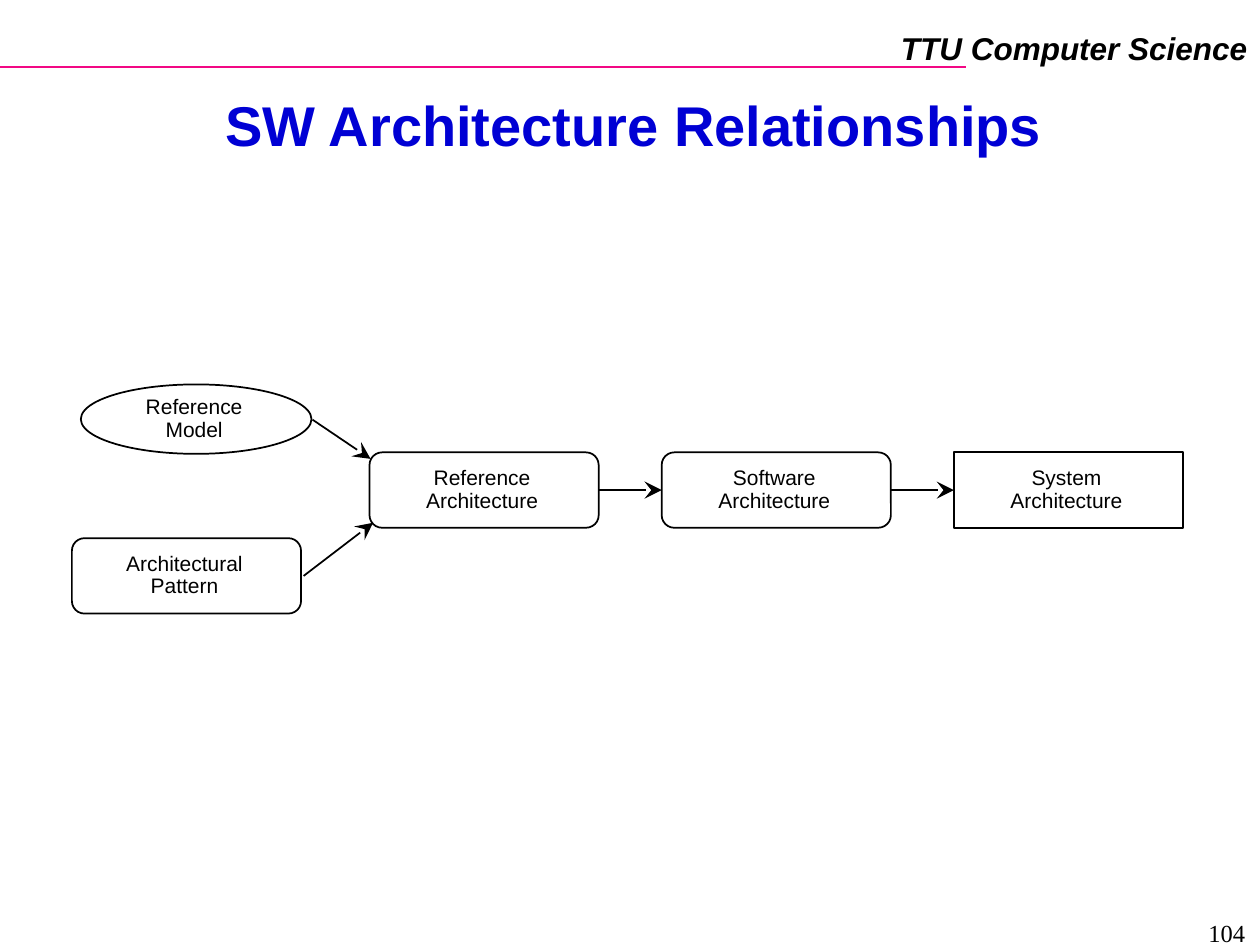
from lxml import etree
from pptx import Presentation
from pptx import util as u
from pptx.dml.color import RGBColor
from pptx.enum import shapes, text
from pptx.oxml.ns import qn

BLACK = RGBColor(0x00, 0x00, 0x00)
BLUE = RGBColor(0x00, 0x00, 0xD4)
PINK = RGBColor(0xF2, 0x08, 0x84)
NODE_WIDTH, NODE_HEIGHT = 4.62, 1.52
LABEL_WIDTH, LABEL_HEIGHT = 3.1, 1.17


def place(box):
    return [u.Cm(length) for length in box]


def format_paragraph(paragraph, size, color=BLACK, font="Arial", bold=False,
                     italic=False, align=text.PP_ALIGN.CENTER, spacing=1.0):
    paragraph.alignment = align
    paragraph.line_spacing = spacing
    paragraph.font.name = font
    paragraph.font.size = u.Pt(size)
    paragraph.font.bold = bold
    paragraph.font.italic = italic
    paragraph.font.color.rgb = color


def add_text(slide, box, words, size, wrap=False, **style):
    frame = slide.shapes.add_textbox(*place(box)).text_frame
    frame.word_wrap = wrap
    frame.text = words
    for paragraph in frame.paragraphs:
        format_paragraph(paragraph, size, **style)


def add_line(slide, start, end, color=BLACK, arrow=False):
    line = slide.shapes.add_connector(
        shapes.MSO_CONNECTOR.STRAIGHT, *place(start + end))
    line.line.color.rgb = color
    line.line.width = u.Pt(1)
    if arrow:
        outline = line.line._get_or_add_ln()
        etree.SubElement(outline, qn("a:tailEnd"), type="stealth",
                         w="lg", len="lg")
    etree.SubElement(line._element.spPr, qn("a:effectLst"))


def add_node(slide, kind, box, words):
    left, top, width, height = box
    shape = slide.shapes.add_shape(kind, *place(box))
    shape.shadow.inherit = False
    shape.fill.background()
    shape.line.color.rgb = BLACK
    shape.line.width = u.Pt(1)
    label = (left + (width - LABEL_WIDTH) / 2 - 0.04,
             top + (height - LABEL_HEIGHT) / 2, LABEL_WIDTH, LABEL_HEIGHT)
    add_text(slide, label, words, 12, spacing=0.9)


def add_header(slide, box):
    left, top, width, height = box
    rule = top + 0.89
    add_line(slide, (left, rule), (left + 19.48, rule), PINK)
    add_text(slide, (left + width - 7.5, top, 7.5, height),
             "TTU Computer Science", 18, bold=True, italic=True,
             align=text.PP_ALIGN.RIGHT)


def add_title(slide, box):
    title = slide.shapes.title
    title.left, title.top, title.width, title.height = place(box)
    frame = title.text_frame
    frame.text = "SW Architecture Relationships"
    frame.auto_size = text.MSO_AUTO_SIZE.NONE
    frame.vertical_anchor = text.MSO_ANCHOR.MIDDLE
    format_paragraph(frame.paragraphs[0], 32, BLUE, bold=True, spacing=0.87)


def add_diagram(slide, left, top):
    rounded = shapes.MSO_SHAPE.ROUNDED_RECTANGLE
    add_node(slide, shapes.MSO_SHAPE.OVAL, (left + 0.18, top, 4.65, 1.4),
             "Reference\nModel")
    add_node(slide, rounded, (left, top + 3.1, NODE_WIDTH, NODE_HEIGHT),
             "Architectural\nPattern")
    add_line(slide, (left + 4.85, top + 0.71), (left + 6.02, top + 1.5),
             arrow=True)
    add_line(slide, (left + 4.67, top + 3.86), (left + 6.07, top + 2.79),
             arrow=True)

    row_left, row_top, pitch = left + 6, top + 1.37, 5.89
    chain = [(rounded, "Reference"), (rounded, "Software"),
             (shapes.MSO_SHAPE.RECTANGLE, "System")]
    for index, (kind, name) in enumerate(chain):
        node_left = row_left + index * pitch
        add_node(slide, kind, (node_left, row_top, NODE_WIDTH, NODE_HEIGHT),
                 f"{name}\nArchitecture")
        if index:
            middle = row_top + NODE_HEIGHT / 2
            add_line(slide, (node_left - pitch + NODE_WIDTH, middle),
                     (node_left, middle), arrow=True)


def add_page_number(slide, box):
    add_text(slide, box, "104", 14, wrap=True, font="Times New Roman",
             align=text.PP_ALIGN.RIGHT)


def main():
    presentation = Presentation()
    presentation.slide_width = u.Cm(25.4)
    presentation.slide_height = u.Cm(19.05)
    slide = presentation.slides.add_slide(presentation.slide_layouts[5])
    add_header(slide, (0, 0.46, 25.4, 1.02))
    add_title(slide, (1.98, 2.24, 21.59, 0.74))
    add_diagram(slide, 1.45, 7.75)
    add_page_number(slide, (19.43, 18.39, 5.92, 0.56))
    presentation.save("out.pptx")


if __name__ == "__main__":
    main()
